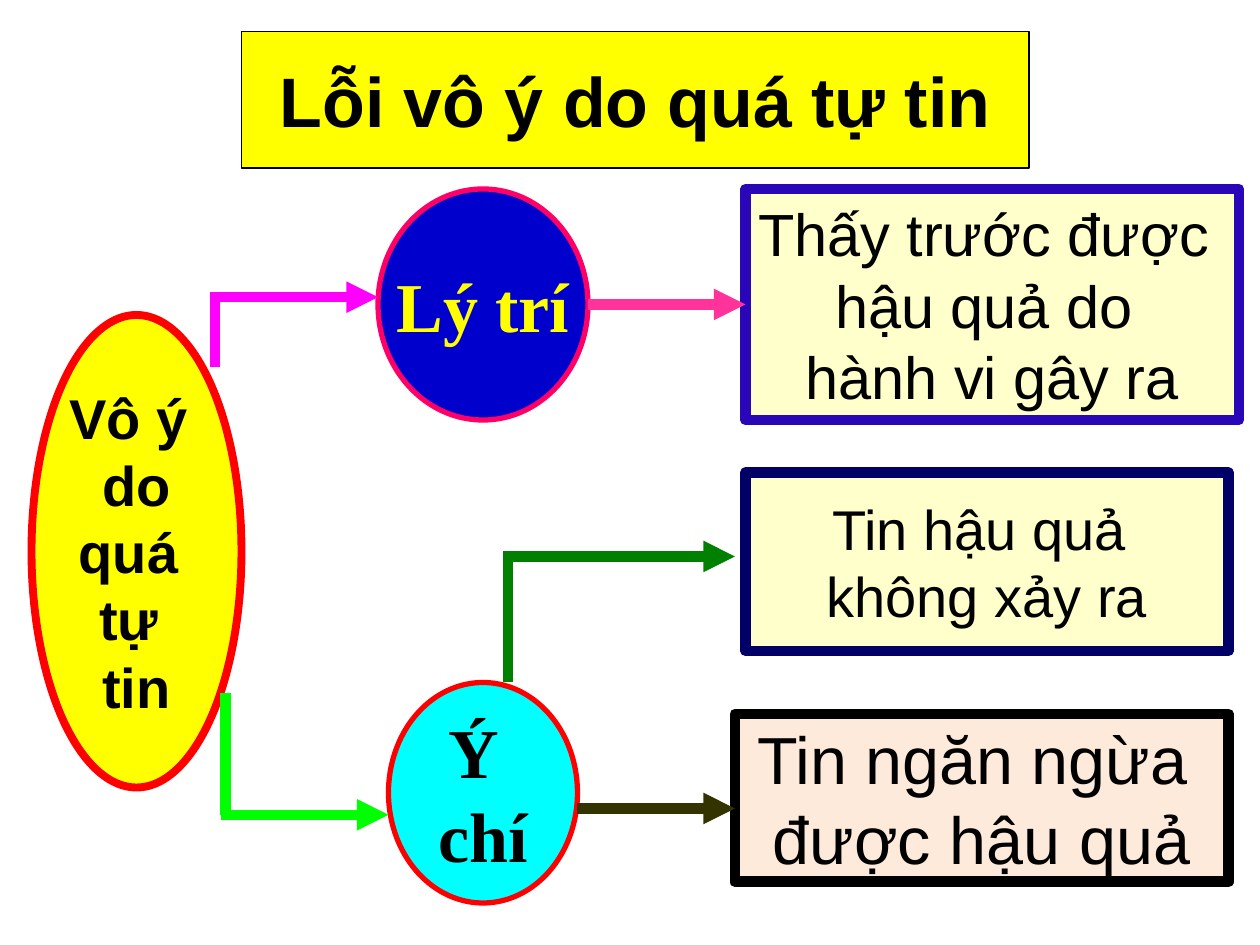
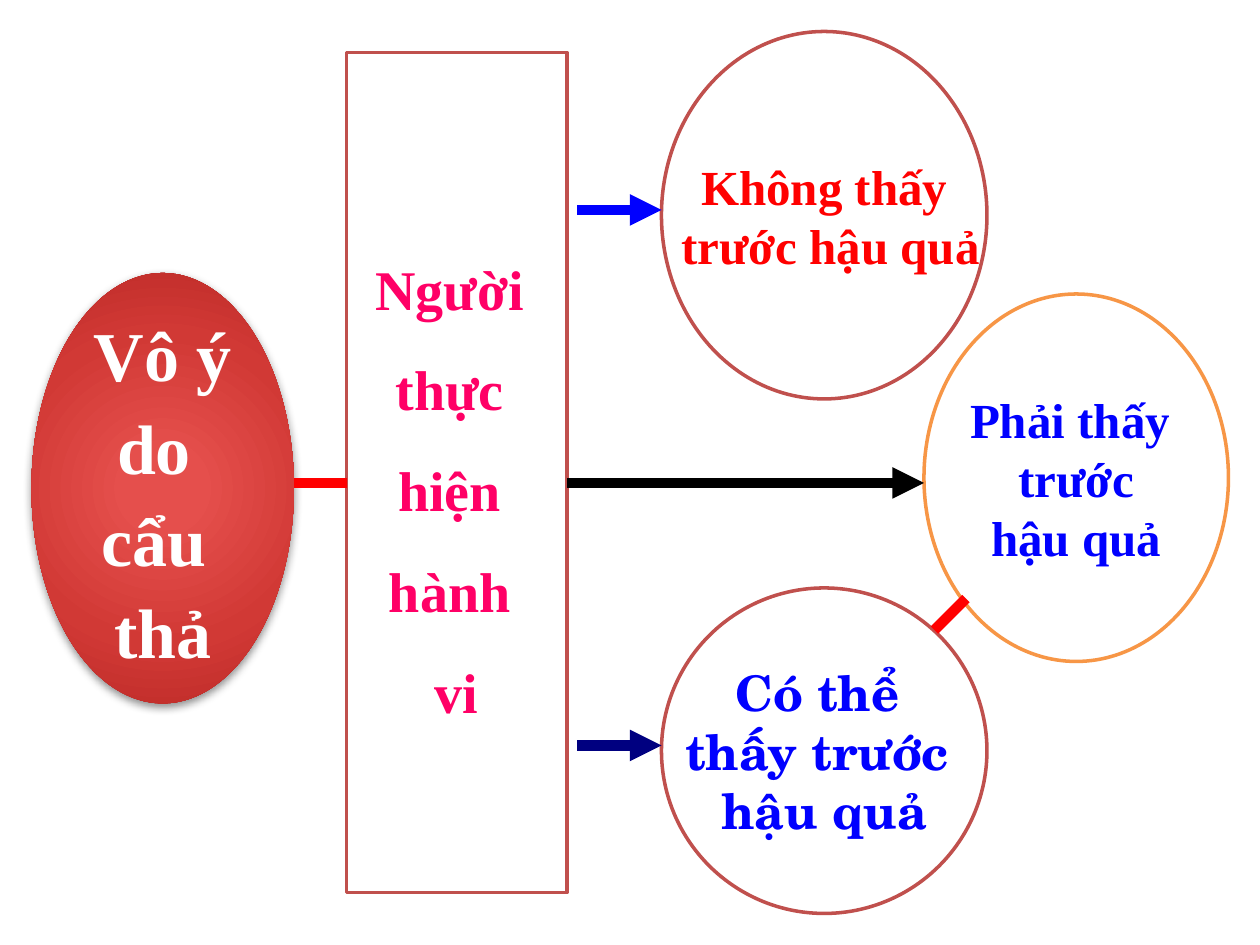
"""Build two diagram slides on the fault of unintentional acts."""
from dataclasses import dataclass
from typing import Optional

from lxml.etree import SubElement
from pptx import Presentation
from pptx.dml.color import RGBColor
from pptx.enum.shapes import MSO_CONNECTOR, MSO_SHAPE
from pptx.enum.text import MSO_ANCHOR, MSO_AUTO_SIZE, PP_ALIGN
from pptx.oxml import parse_xml
from pptx.oxml.ns import nsdecls, qn
from pptx.util import Pt

PX = 7620
LINK_WIDTH = 6
LINK_HALF = 5
SANS, SERIF, SCHOLA = "Arial", "Times New Roman", "TeX Gyre Schola"
TITLE_ONLY, BLANK = 5, 6

COLORS = {
    "white": "FFFFFF", "black": "000000", "yellow": "FFFF00", "red": "FF0000",
    "blue": "0000FF", "royal": "0000CC", "navy": "000080", "midnight": "000066",
    "violet": "2907B9", "cyan": "00FFFF", "cream": "FFFFCC", "peach": "FDEADA",
    "rose": "FF0066", "pink": "FF3399", "magenta": "FF00FF", "lime": "00FF00",
    "green": "008000", "olive": "333300", "brick": "C0504D", "orange": "F79646",
}
GLOW_STOPS = ((0, "E6504C"), (15, "E54F4C"), (62, "D13935"), (97, "BD2B28"), (100, "BD221E"))


@dataclass(frozen=True)
class Lettering:
    size: int
    color: str = "black"
    font: str = SANS
    bold: bool = False
    spacing: float = 1.0


@dataclass(frozen=True)
class Node:
    text: str
    box: tuple[int, int, int, int]
    lettering: Lettering
    fill: Optional[str]
    line: Optional[str]
    line_width: float = 2
    kind: MSO_SHAPE = MSO_SHAPE.OVAL


@dataclass(frozen=True)
class Link:
    start: tuple[int, int]
    end: tuple[int, int]
    color: str
    arrow: bool = True


def rgb(name: str) -> RGBColor:
    """Return the named colour."""
    return RGBColor.from_string(COLORS[name])


def write(shape, text: str, lettering: Lettering) -> None:
    """Put centred, unwrapped lines into a shape."""
    frame = shape.text_frame
    frame.text = text
    frame.word_wrap = False
    frame.auto_size = MSO_AUTO_SIZE.NONE
    frame.vertical_anchor = MSO_ANCHOR.MIDDLE
    for paragraph in frame.paragraphs:
        paragraph.alignment = PP_ALIGN.CENTER
        paragraph.line_spacing = lettering.spacing
        for span in paragraph.runs:
            span.font.size = Pt(lettering.size)
            span.font.name = lettering.font
            span.font.bold = lettering.bold
            span.font.color.rgb = rgb(lettering.color)


def add_glow(shape) -> None:
    """Give a shape a radial red gradient and a soft shadow below."""
    shape.fill.gradient()
    properties = shape._element.spPr
    stops = "".join(
        f'<a:gs pos="{position * 1000}"><a:srgbClr val="{color}"/></a:gs>'
        for position, color in GLOW_STOPS
    )
    gradient = parse_xml(
        f'<a:gradFill {nsdecls("a")} rotWithShape="1"><a:gsLst>{stops}</a:gsLst>'
        '<a:path path="circle"><a:fillToRect l="50000" t="50000" r="50000" b="50000"/>'
        "</a:path></a:gradFill>"
    )
    properties.replace(properties.find(qn("a:gradFill")), gradient)
    shadow = parse_xml(
        f'<a:outerShdw {nsdecls("a")} blurRad="{Pt(5)}" dist="{Pt(2)}" dir="5400000" '
        'rotWithShape="0"><a:srgbClr val="000000"><a:alpha val="43000"/></a:srgbClr></a:outerShdw>'
    )
    properties.find(qn("a:effectLst")).append(shadow)


def paint(shape, node: Node) -> None:
    """Set the fill, outline and text of a node."""
    shape.shadow.inherit = False
    if node.fill:
        shape.fill.solid()
        shape.fill.fore_color.rgb = rgb(node.fill)
    else:
        add_glow(shape)
    if node.line:
        shape.line.color.rgb = rgb(node.line)
        shape.line.width = Pt(node.line_width)
    else:
        shape.line.fill.background()
    write(shape, node.text, node.lettering)


def add_node(page, node: Node) -> None:
    """Draw one node."""
    paint(page.shapes.add_shape(node.kind, *(PX * length for length in node.box)), node)


def set_title(page, node: Node) -> None:
    """Turn the title placeholder into a bevelled plate."""
    title = page.shapes.title
    title.left, title.top, title.width, title.height = (PX * length for length in node.box)
    title._element.spPr.append(parse_xml(
        f'<a:prstGeom {nsdecls("a")} prst="bevel"><a:avLst>'
        '<a:gd name="adj" fmla="val 12500"/></a:avLst></a:prstGeom>'
    ))
    paint_title = title
    paint_title.fill.solid()
    paint(paint_title, node)


def add_link(page, link: Link) -> None:
    """Draw one thick line, with an arrowhead at its end if asked."""
    connector = page.shapes.add_connector(
        MSO_CONNECTOR.STRAIGHT, *(PX * length for length in link.start + link.end)
    )
    connector.line.color.rgb = rgb(link.color)
    connector.line.width = Pt(LINK_WIDTH)
    properties = connector._element.spPr
    if link.arrow:
        SubElement(properties.find(qn("a:ln")), qn("a:tailEnd"), type="triangle")
    SubElement(properties, qn("a:effectLst"))


def elbow(start: tuple[int, int], end: tuple[int, int], color: str) -> list[Link]:
    """Return an upright stem and the level arrow that leaves its end."""
    return [
        Link(start, (start[0], end[1]), color, arrow=False),
        Link((start[0] - LINK_HALF, end[1]), end, color),
    ]


def add_diagram(page, nodes: list[Node], links: list[Link]) -> None:
    """Draw the nodes and then the links between them."""
    for node in nodes:
        add_node(page, node)
    for link in links:
        add_link(page, link)


def build_overconfidence(deck) -> None:
    """Build the slide on fault through overconfidence."""
    page = deck.slides.add_slide(deck.slide_layouts[TITLE_ONLY])
    set_title(page, Node("Lỗi vô ý do quá tự tin", (230, 30, 750, 130),
                         Lettering(40, bold=True), "yellow", "black", 0.75))
    box = MSO_SHAPE.RECTANGLE
    nodes = [
        Node("Lý trí", (360, 180, 200, 220), Lettering(40, "yellow", SERIF, True),
             "royal", "rose", 3),
        Node("Vô ý \ndo\nquá \ntự \ntin", (30, 300, 200, 450), Lettering(32, bold=True),
             "yellow", "red", 4.5),
        Node("Ý \nchí", (370, 650, 180, 210), Lettering(40, "black", SERIF, True),
             "cyan", "red", 3),
        Node("Tin hậu quả \nkhông xảy ra", (710, 450, 460, 170), Lettering(32),
             "cream", "midnight", 6, box),
        Node("Tin ngăn ngừa \nđược hậu quả", (700, 680, 470, 160), Lettering(38),
             "peach", "black", 6.25, box),
        Node("Thấy trước được \nhậu quả do \nhành vi gây ra", (710, 180, 470, 220),
             Lettering(34), "cream", "violet", 6, box),
    ]
    links = [
        *elbow((215, 660), (370, 776), "lime"),
        *elbow((205, 350), (360, 283), "magenta"),
        Link((550, 770), (700, 770), "olive"),
        Link((560, 290), (710, 290), "pink"),
        *elbow((484, 650), (700, 530), "green"),
    ]
    add_diagram(page, nodes, links)


def build_carelessness(deck) -> None:
    """Build the slide on fault through carelessness."""
    page = deck.slides.add_slide(deck.slide_layouts[BLANK])
    nodes = [
        Node("Vô ý\ndo \ncẩu \nthả", (30, 260, 250, 410),
             Lettering(40, "white", SERIF, True, 1.1), None, None),
        Node("Người \nthực \nhiện \nhành \nvi", (330, 50, 210, 800),
             Lettering(32, "rose", SERIF, True, 1.5), "white", "brick",
             kind=MSO_SHAPE.RECTANGLE),
        Node("Phải thấy \ntrước\nhậu quả", (880, 280, 290, 350),
             Lettering(28, "blue", SERIF, True), "white", "orange"),
        Node("Có thể \nthấy trước \nhậu quả", (630, 560, 310, 310),
             Lettering(28, "blue", SCHOLA, True), "white", "brick"),
        Node("Không thấy\n trước hậu quả", (630, 30, 310, 350),
             Lettering(28, "red", SERIF, True), "white", "brick"),
    ]
    links = [
        Link((540, 460), (880, 460), "black"),
        Link((280, 460), (330, 460), "red", arrow=False),
        Link((550, 710), (630, 710), "navy"),
        Link((550, 200), (630, 200), "blue"),
        Link((920, 570), (890, 600), "red", arrow=False),
    ]
    add_diagram(page, nodes, links)


def main() -> None:
    """Build and save the deck."""
    deck = Presentation()
    deck.slide_width, deck.slide_height = 1200 * PX, 900 * PX
    build_overconfidence(deck)
    build_carelessness(deck)
    deck.save("out.pptx")


if __name__ == "__main__":
    main()
